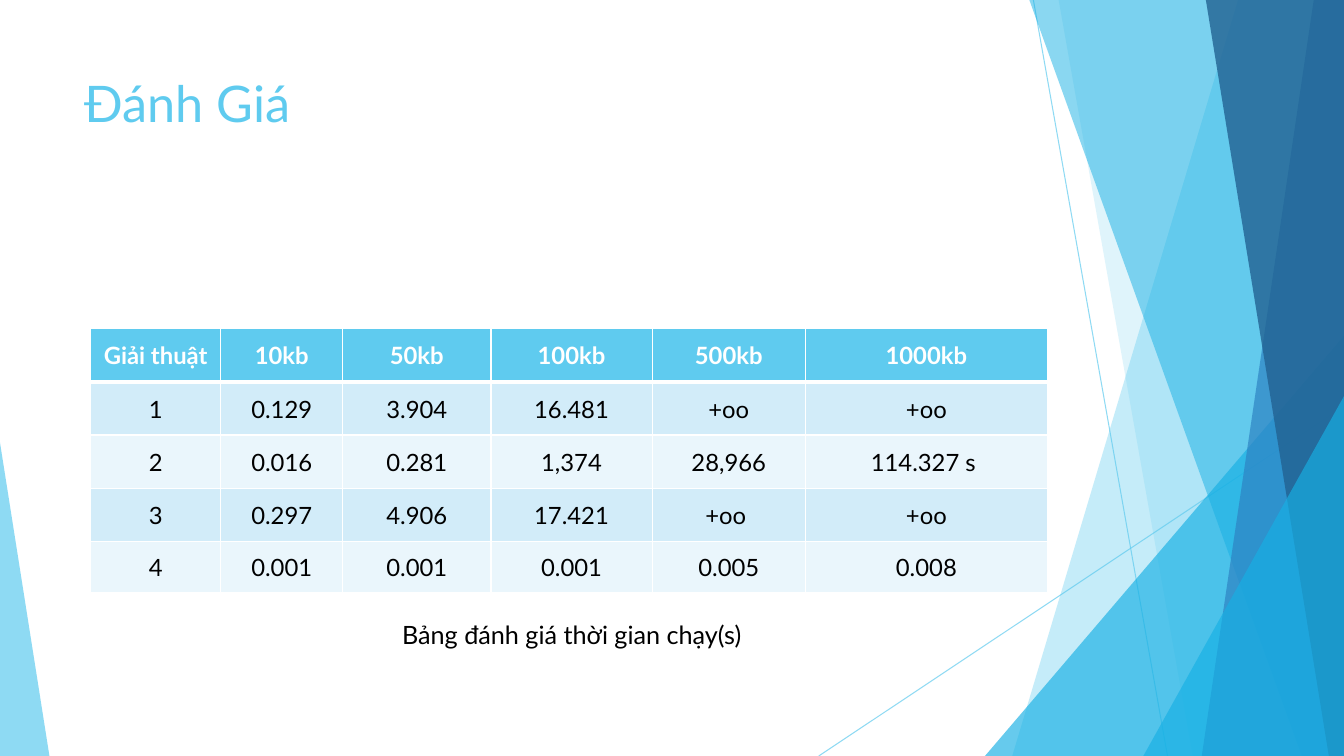
from pptx import Presentation
from pptx import util as u
from pptx.dml.color import RGBColor
from pptx.enum import shapes, text
from pptx.oxml import parse_xml
from pptx.oxml.ns import nsdecls, qn

COLORS = {
    "sky": "5FCBEF", "cyan": "17B0E4", "blue": "2E83C3", "navy": "226292",
    "white": "FFFFFF", "black": "000000", "band": "D2ECF9", "pale": "EAF6FC",
}
FONT = "Lato"
WIDTH, HEIGHT = u.Inches(13.33), u.Inches(7.5)
COLUMN, ROW = WIDTH / 100, HEIGHT / 100

TITLE_BOX = (5.55, 8.93, 70.52, 19.2)
TABLE_BOX = (6.75, 43.47, 71.19, 34.93)
CAPTION_BOX = (21.68, 81.2, 38.26, 5.33)
SLIDE_BOX = (0, 0, 100, 100)

TIMINGS = [
    ["Giải thuật", "10kb", "50kb", "100kb", "500kb", "1000kb"],
    ["1", "0.129", "3.904", "16.481", "+oo", "+oo"],
    ["2", "0.016", "0.281", "1,374", "28,966", "114.327 s "],
    ["3", "0.297", "4.906", "17.421", "+oo ", "+oo"],
    ["4", "0.001", "0.001", "0.001", "0.005", "0.008"],
]
COLUMN_WEIGHTS = [1.29, 1.21, 1.47, 1.6, 1.52, 2.4]
ROW_WEIGHTS = [0.53, 0.53, 0.53, 0.53, 0.51]

RAYS = [(76.89, 0, 86.87, 100), (100, 53.73, 60.92, 100)]
BACK_PANELS = [(92.12, 75.32, "sky", 36), (78.77, 88.75, "sky", 20)]
FRONT_PANELS = [
    (76.59, 96.85, "cyan", 50),
    (97.75, 89.42, "blue", 70),
    (89.72, 98.87, "navy", 80),
]


def place(box):
    """Turn a box of grid columns and rows into slide lengths."""
    left, top, width, height = box
    return [round(n) for n in (left * COLUMN, top * ROW, width * COLUMN, height * ROW)]


def set_alpha(shape, percent):
    """Make the colour of a shape or line partly transparent."""
    color = next(shape._element.spPr.iter(qn("a:srgbClr")))
    color.append(parse_xml(f'<a:alpha {nsdecls("a")} val="{percent * 1000}"/>'))


def paint(shape, color, alpha):
    """Fill a shape without outline or shadow."""
    shape.shadow.inherit = False
    shape.line.fill.background()
    shape.fill.solid()
    shape.fill.fore_color.rgb = RGBColor.from_string(COLORS[color])
    set_alpha(shape, alpha)


def write(frame, words, size=18, color="black", bold=False,
          align=text.PP_ALIGN.LEFT, anchor=None, indent=0):
    """Write one formatted paragraph into a text frame."""
    if anchor is not None:
        frame.vertical_anchor = anchor
    paragraph = frame.paragraphs[0]
    paragraph.alignment = align
    if indent:
        paragraph._p.get_or_add_pPr().set("marL", str(indent))
    run = paragraph.add_run()
    run.text = words
    run.font.name = FONT
    run.font.size = u.Pt(size)
    run.font.bold = bold
    run.font.color.rgb = RGBColor.from_string(COLORS[color])


def add_ray(slide, box, ends):
    """Draw a thin line between two points of the box."""
    left, top, width, height = place(box)
    x1, y1, x2, y2 = [n / 100 for n in ends]
    ray = slide.shapes.add_connector(
        shapes.MSO_CONNECTOR.STRAIGHT,
        round(left + x1 * width), round(top + y1 * height),
        round(left + x2 * width), round(top + y2 * height))
    ray.line.width = u.Pt(0.75)
    ray.line.color.rgb = RGBColor.from_string(COLORS["sky"])
    set_alpha(ray, 70)
    ray._element.spPr.append(parse_xml(f'<a:effectLst {nsdecls("a")}/>'))


def add_panel(slide, box, upper, lower, color, alpha):
    """Draw a panel that reaches from a slanted edge to the right of the box."""
    left, top, width, height = place(box)
    right, bottom = left + width, top + height
    start = round(left + upper / 100 * width)
    builder = slide.shapes.build_freeform(start, top)
    builder.add_line_segments(
        [(right, top), (right, bottom), (round(left + lower / 100 * width), bottom)])
    paint(builder.convert_to_shape(), color, alpha)


def add_corner(slide, box, color, alpha, apex):
    """Draw a right-angled triangle in the box."""
    corner = slide.shapes.add_shape(shapes.MSO_SHAPE.ISOSCELES_TRIANGLE, *place(box))
    corner.adjustments[0] = apex
    paint(corner, color, alpha)


def add_facets(slide, box):
    """Layer the coloured rays, panels and corners over the box."""
    left, top, width, height = box

    def part(x, y, right):
        return (left + x * width / 100, top + y * height / 100,
                (right - x) * width / 100, (100 - y) * height / 100)

    for ends in RAYS:
        add_ray(slide, box, ends)
    for panel in BACK_PANELS:
        add_panel(slide, box, *panel)
    add_corner(slide, part(73.29, 44.4, 100), "cyan", 66, apex=1)
    for panel in FRONT_PANELS:
        add_panel(slide, box, *panel)
    add_corner(slide, part(85.07, 52.4, 100), "cyan", 66, apex=1)
    add_corner(slide, part(0, 58.53, 3.68), "sky", 70, apex=0)


def add_title(slide, box):
    """Place the title in front of the facets."""
    title = slide.shapes.title
    title.left, title.top, title.width, title.height = place(box)
    write(title.text_frame, "Đánh Giá", size=36, color="sky", anchor=text.MSO_ANCHOR.TOP)
    slide.shapes._spTree.append(title._element)


def set_borders(cell, row):
    """Give a cell white borders, with a thick rule under the header."""
    points = {"lnL": 1, "lnR": 1, "lnT": 3 if row == 1 else 1, "lnB": 3 if row == 0 else 1}
    properties = cell._tc.get_or_add_tcPr()
    for side, width in points.items():
        properties.append(parse_xml(
            f'<a:{side} {nsdecls("a")} w="{u.Pt(width)}"><a:solidFill>'
            f'<a:srgbClr val="{COLORS["white"]}"/></a:solidFill></a:{side}>'))


def add_timings(slide, box):
    """Build the table of running times."""
    width, height = place(box)[2:]
    table = slide.shapes.add_table(len(TIMINGS), len(TIMINGS[0]), *place(box)).table
    for column, weight in zip(table.columns, COLUMN_WEIGHTS):
        column.width = round(width * weight / sum(COLUMN_WEIGHTS))
    for row, weight in zip(table.rows, ROW_WEIGHTS):
        row.height = round(height * weight / sum(ROW_WEIGHTS))
    for r, values in enumerate(TIMINGS):
        header = r == 0
        fill = "sky" if header else "band" if r % 2 else "pale"
        for c, value in enumerate(values):
            cell = table.cell(r, c)
            cell.margin_left = cell.margin_right = cell.margin_top = u.Inches(0.01)
            cell.margin_bottom = 0
            cell.vertical_anchor = text.MSO_ANCHOR.MIDDLE
            set_borders(cell, r)
            cell.fill.solid()
            cell.fill.fore_color.rgb = RGBColor.from_string(COLORS[fill])
            write(cell.text_frame, value, size=17, bold=header,
                  color="white" if header else "black", align=text.PP_ALIGN.CENTER)


def add_caption(slide, box):
    """Write the caption below the table."""
    frame = slide.shapes.add_textbox(*place(box)).text_frame
    frame.word_wrap = True
    frame.auto_size = text.MSO_AUTO_SIZE.SHAPE_TO_FIT_TEXT
    write(frame, "Bảng đánh giá thời gian chạy(s)", indent=u.Inches(1))


def main():
    """Build the evaluation slide and save it."""
    presentation = Presentation()
    presentation.slide_width, presentation.slide_height = WIDTH, HEIGHT
    slide = presentation.slides.add_slide(presentation.slide_layouts[5])
    add_facets(slide, SLIDE_BOX)
    add_title(slide, TITLE_BOX)
    add_caption(slide, CAPTION_BOX)
    add_timings(slide, TABLE_BOX)
    presentation.save("out.pptx")


if __name__ == "__main__":
    main()
